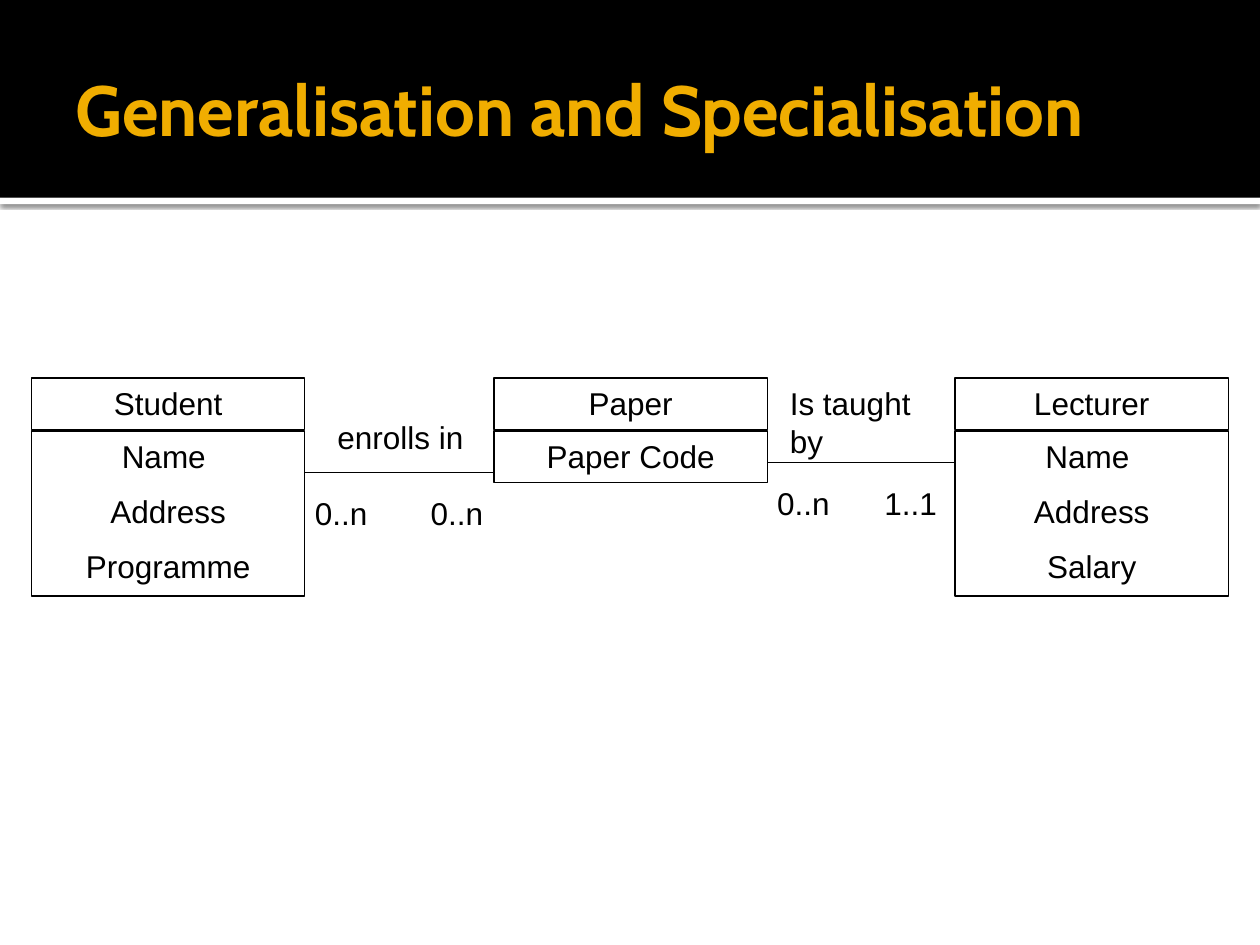
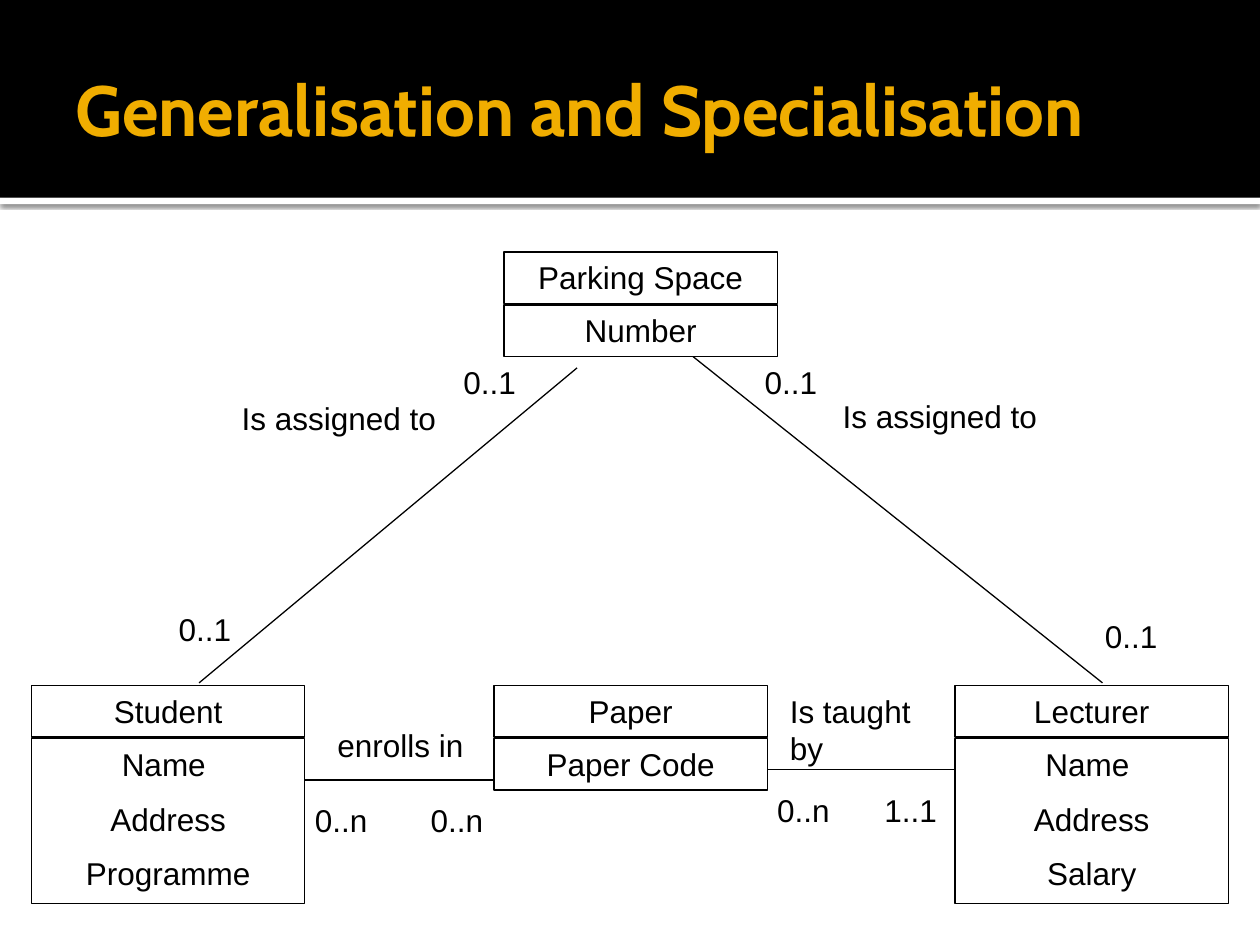
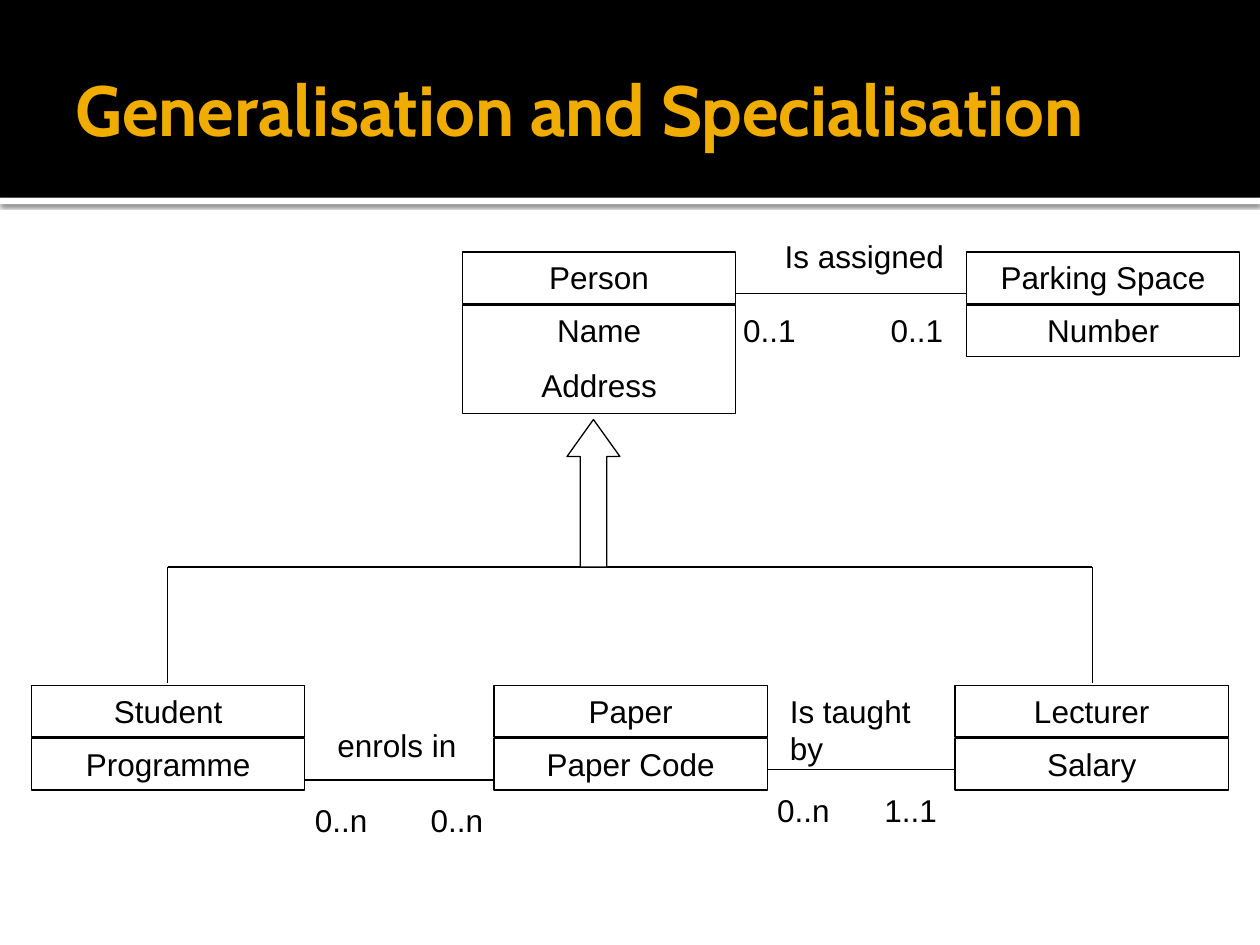
from dataclasses import dataclass

from lxml import etree
from pptx import Presentation
from pptx.dml.color import RGBColor
from pptx.enum.shapes import MSO_CONNECTOR, MSO_SHAPE
from pptx.enum.text import MSO_ANCHOR, MSO_AUTO_SIZE, PP_ALIGN
from pptx.oxml import parse_xml
from pptx.oxml.ns import nsdecls, qn
from pptx.util import Inches, Pt

RECTANGLE = MSO_SHAPE.RECTANGLE
UP_ARROW = MSO_SHAPE.UP_ARROW
STRAIGHT = MSO_CONNECTOR.STRAIGHT
CENTER, LEFT = PP_ALIGN.CENTER, PP_ALIGN.LEFT
TOP, MIDDLE = MSO_ANCHOR.TOP, MSO_ANCHOR.MIDDLE
GROW = MSO_AUTO_SIZE.SHAPE_TO_FIT_TEXT


@dataclass(frozen=True)
class Theme:
    """Colours, fonts and sizes shared by all slides."""
    ink: RGBColor = RGBColor(0, 0, 0)
    paper: RGBColor = RGBColor(255, 255, 255)
    accent: RGBColor = RGBColor(0xF0, 0xAD, 0x00)
    title_font: str = "Cabin"
    body_font: str = "Arial"
    title_size: Pt = Pt(40.5)
    body_size: Pt = Pt(18)
    row_gap: Pt = Pt(9.8)
    line_width: Pt = Pt(0.75)


THEME = Theme()
TITLE = "Generalisation and Specialisation"
ENTITY_WIDTH = 2.17
HEADER_HEIGHT = 0.41
BODY_OFFSET = 0.42
EXTRA_ROW = 0.45
COLUMNS = (0.25, 3.92, 7.58)
LOWER_ROW = 5.44
UPPER_ROW = 2


def add_block(page, kind, left, top, width, height, fill=None, outlined=False):
    """Draw a preset shape without a shadow."""
    block = page.shapes.add_shape(
        kind, Inches(left), Inches(top), Inches(width), Inches(height))
    block.shadow.inherit = False
    if fill is None:
        block.fill.background()
    else:
        block.fill.solid()
        block.fill.fore_color.rgb = fill
    if outlined:
        block.line.color.rgb = THEME.ink
        block.line.width = THEME.line_width
    else:
        block.line.fill.background()
    return block


def write_rows(frame, rows, align=LEFT):
    """Fill a text frame with one body paragraph per row."""
    frame.vertical_anchor = TOP
    frame.auto_size = GROW
    for index, row in enumerate(rows):
        para = frame.add_paragraph() if index else frame.paragraphs[0]
        para.text = row
        para.alignment = align
        para.font.name = THEME.body_font
        para.font.size = THEME.body_size
        para.font.color.rgb = THEME.ink
        if index:
            para.space_before = THEME.row_gap


def add_label(page, text, left, top, width=0.62, height=0.4, wrap=False):
    """Place a relationship name or a multiplicity."""
    box = page.shapes.add_textbox(
        Inches(left), Inches(top), Inches(width), Inches(height))
    box.text_frame.word_wrap = wrap
    write_rows(box.text_frame, [text])


def add_line(page, start, end):
    """Connect two points with a thin line."""
    line = page.shapes.add_connector(
        STRAIGHT, *(Inches(value) for value in (*start, *end)))
    line.line.color.rgb = THEME.ink
    line.line.width = THEME.line_width
    etree.SubElement(line._element.spPr, qn("a:effectLst"))


def add_entity(page, left, top, name, attributes):
    """Draw an entity as a name box above an attribute box."""
    body_height = HEADER_HEIGHT + EXTRA_ROW * (len(attributes) - 1)
    parts = ((top, HEADER_HEIGHT, [name]),
             (top + BODY_OFFSET, body_height, attributes))
    for part_top, height, rows in parts:
        block = add_block(page, RECTANGLE, left, part_top, ENTITY_WIDTH, height,
                          outlined=True)
        block.text_frame.word_wrap = True
        write_rows(block.text_frame, rows, CENTER)


def add_page(deck):
    """Add a slide with the title band and its shadowed edge."""
    page = deck.slides.add_slide(deck.slide_layouts[6])
    edge = add_block(page, RECTANGLE, 0, 1.57, 10, 0.05, THEME.paper)
    edge._element.spPr.find(qn("a:effectLst")).append(parse_xml(
        f'<a:outerShdw {nsdecls("a")} blurRad="{Pt(2.5)}" dist="{Pt(0.8)}" '
        'dir="5400000" algn="tl" rotWithShape="0"><a:srgbClr val="000000">'
        '<a:alpha val="60000"/></a:srgbClr></a:outerShdw>'))
    add_block(page, RECTANGLE, 0, 0, 10, 1.57, THEME.ink)
    box = page.shapes.add_textbox(
        Inches(0.5), Inches(0.17), Inches(9), Inches(1.37))
    frame = box.text_frame
    frame.word_wrap = True
    frame.vertical_anchor = MIDDLE
    frame.margin_right = Inches(0.05)
    para = frame.paragraphs[0]
    para.text = TITLE
    para.font.name = THEME.title_font
    para.font.size = THEME.title_size
    para.font.bold = True
    para.font.color.rgb = THEME.accent
    return page


def add_enrolment(page, top, student, lecturer, verb="enrolls in", verb_width=1.2):
    """Draw the student, paper and lecturer row with its relationships."""
    entities = (("Student", student), ("Paper", ["Paper Code"]),
                ("Lecturer", lecturer))
    for left, (name, attributes) in zip(COLUMNS, entities):
        add_entity(page, left, top, name, attributes)
    for index, drop in enumerate((0.75, 0.67)):
        add_line(page, (COLUMNS[index] + ENTITY_WIDTH, top + drop),
                 (COLUMNS[index + 1], top + drop))
    add_label(page, verb, 2.58, top + 0.27, verb_width)
    add_label(page, "Is taught by", 6.17, top, 1.33, 0.7, wrap=True)
    for text, left, drop in (("0..n", 2.4, 0.87), ("0..n", 3.32, 0.87),
                             ("0..n", 6.07, 0.79), ("1..1", 6.92, 0.79)):
        add_label(page, text, left, top + drop)


def add_parking(page, left):
    """Draw the parking space entity in the upper row."""
    add_entity(page, left, UPPER_ROW, "Parking Space", ["Number"])


def build_separate_entities(deck, top, parking):
    """Show students and lecturers as unrelated entities."""
    page = add_page(deck)
    add_enrolment(page, top, ["Name ", "Address", "Programme"],
                  ["Name ", "Address", "Salary"])
    if not parking:
        return
    add_parking(page, 4)
    add_line(page, (1.58, 5.42), (4.58, 2.92))
    add_line(page, (8.75, 5.42), (5.5, 2.83))
    for left, label_top in ((1.82, 3.12), (6.59, 3.1)):
        add_label(page, "Is assigned to", left, label_top, 1.74)
    for left, label_top in ((1.32, 4.79), (8.67, 4.85), (5.97, 2.83), (3.58, 2.83)):
        add_label(page, "0..1", left, label_top)


def build_generalisation(deck):
    """Show a person entity that generalises students and lecturers."""
    page = add_page(deck)
    add_enrolment(page, LOWER_ROW, ["Programme"], ["Salary"], "enrols in", 1.15)
    add_parking(page, 7.67)
    add_line(page, (7.67, 2.33), (5.83, 2.33))
    for left in (6.97, 5.8):
        add_label(page, "0..1", left, 2.42)
    add_entity(page, 3.67, UPPER_ROW, "Person", ["Name", "Address"])
    add_label(page, "Is assigned", 6.13, 1.83, 1.47)
    branches = (1.33, 8.67)
    for branch in branches:
        add_line(page, (branch, 5.42), (branch, 4.5))
    add_line(page, (branches[0], 4.5), (branches[1], 4.5))
    arrow = add_block(page, UP_ARROW, 4.5, 3.33, 0.42, 1.17, THEME.paper, True)
    arrow.adjustments[0] = 0.5
    arrow.adjustments[1] = 0.7


def main():
    """Build and save the deck."""
    deck = Presentation()
    deck.slide_width, deck.slide_height = Inches(10), Inches(7.5)
    build_separate_entities(deck, 3, parking=False)
    build_separate_entities(deck, LOWER_ROW, parking=True)
    build_generalisation(deck)
    deck.save("out.pptx")


main()
